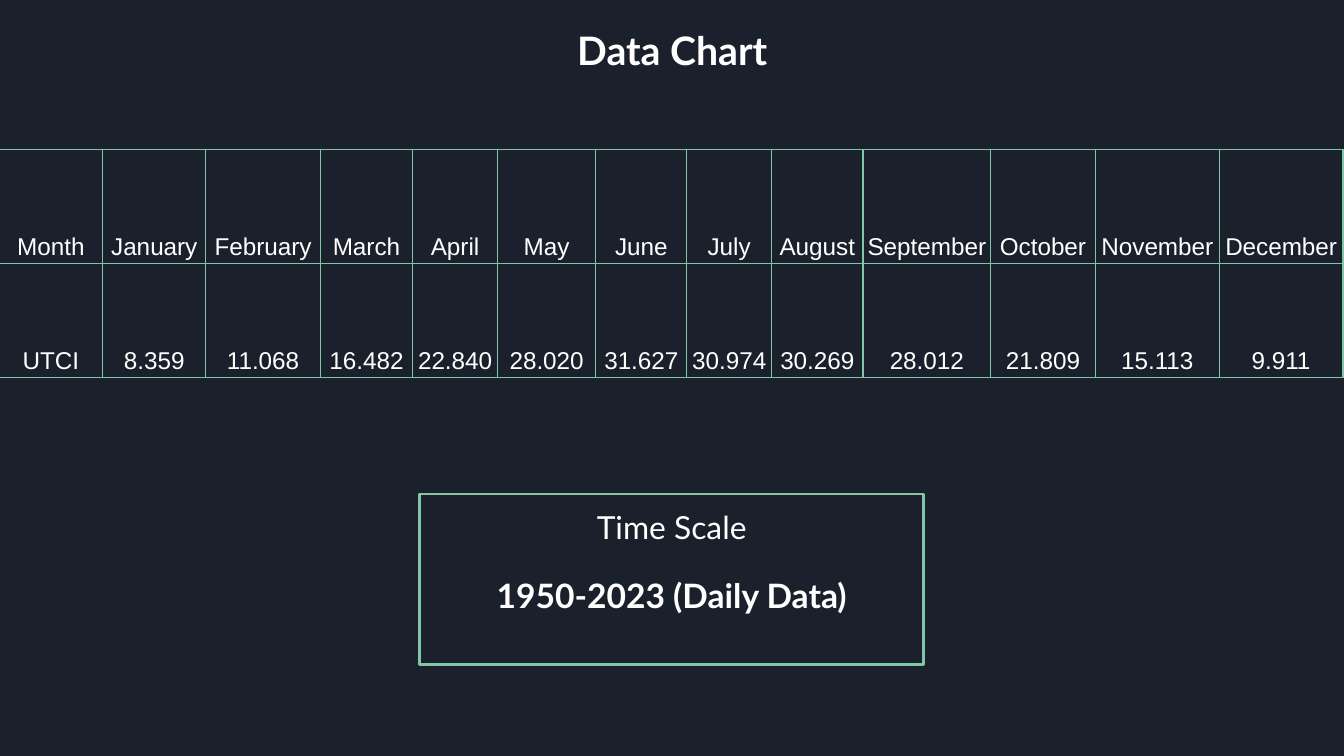
import pptx
import pptx.dml.color
import pptx.enum.shapes
import pptx.enum.text
import pptx.oxml.ns
import pptx.util
from lxml import etree
from pptx.util import Cm, Pt

TITLE = "Data Chart"
# heading, UTCI value, column width in cm
COLUMNS = [
    ("Month", "UTCI", 1.96),
    ("January", "8.359", 1.95),
    ("February", "11.068", 2.16),
    ("March", "16.482", 1.75),
    ("April", "22.840", 1.6),
    ("May", "28.020", 1.86),
    ("June", "31.627", 1.72),
    ("July", "30.974", 1.6),
    ("August", "30.269", 1.73),
    ("September", "28.012", 2.41),
    ("October", "21.809", 1.98),
    ("November", "15.113", 2.34),
    ("December", "9.911", 2.34),
]
TIME_SCALE = [("Time Scale", 17, False), ("1950-2023 (Daily Data)", 18, True)]

BACKGROUND, GREEN, WHITE = "1B212C", "82C7A5", "FFFFFF"
ROW_HEIGHT = 2.16


def color(value):
    return pptx.dml.color.RGBColor.from_string(value)


def format_paragraph(paragraph, font_name, size, bold=False):
    paragraph.alignment = pptx.enum.text.PP_ALIGN.CENTER
    for run in paragraph.runs:
        run.font.name = font_name
        run.font.size = Pt(size)
        run.font.bold = bold
        run.font.color.rgb = color(WHITE)


def set_frame(text_frame):
    """Anchor the text at the top with equal margins on all sides."""
    text_frame.word_wrap = True
    text_frame.auto_size = pptx.enum.text.MSO_AUTO_SIZE.NONE
    text_frame.vertical_anchor = pptx.enum.text.MSO_ANCHOR.TOP
    text_frame.margin_left = text_frame.margin_right = Cm(0.25)
    text_frame.margin_top = text_frame.margin_bottom = Cm(0.25)


def set_borders(cell, value, width):
    properties = cell._tc.get_or_add_tcPr()
    for position, side in enumerate(("lnL", "lnR", "lnT", "lnB")):
        line = etree.Element(pptx.oxml.ns.qn(f"a:{side}"), w=str(Pt(width)))
        fill = etree.SubElement(line, pptx.oxml.ns.qn("a:solidFill"))
        etree.SubElement(fill, pptx.oxml.ns.qn("a:srgbClr"), val=value)
        properties.insert(position, line)


def add_title(slide):
    title = slide.shapes.title
    title.left, title.top, title.width, title.height = Cm(7.37), Cm(0.25), Cm(10.67), Cm(1.47)
    title.text_frame.text = TITLE
    set_frame(title.text_frame)
    format_paragraph(title.text_frame.paragraphs[0], "Lato", 21, True)


def add_month_table(slide):
    widths = [width for _, _, width in COLUMNS]
    table = slide.shapes.add_table(
        2, len(COLUMNS), Cm(-0.02), Cm(2.82), Cm(sum(widths)), Cm(2 * ROW_HEIGHT)
    ).table
    table.first_row = table.horz_banding = False
    for row in table.rows:
        row.height = Cm(ROW_HEIGHT)
    for column_index, (heading, value, width) in enumerate(COLUMNS):
        table.columns[column_index].width = Cm(width)
        for row_index, text in enumerate((heading, value)):
            cell = table.cell(row_index, column_index)
            cell.text_frame.text = text
            cell.vertical_anchor = pptx.enum.text.MSO_ANCHOR.BOTTOM
            cell.margin_left = cell.margin_right = Cm(0.08)
            cell.margin_top = cell.margin_bottom = Cm(0.05)
            cell.fill.background()
            set_borders(cell, GREEN, 0.75)
            paragraph = cell.text_frame.paragraphs[0]
            paragraph.line_spacing = 1.15
            format_paragraph(paragraph, "Arial", 13)


def add_time_scale(slide):
    box = slide.shapes.add_shape(
        pptx.enum.shapes.MSO_SHAPE.RECTANGLE, Cm(7.93), Cm(9.34), Cm(9.53), Cm(3.23)
    )
    box.shadow.inherit = False
    box.fill.background()
    box.line.color.rgb = color(GREEN)
    box.line.width = Pt(1.5)
    set_frame(box.text_frame)
    box.text_frame.text = "\n".join(text for text, _, _ in TIME_SCALE)
    for paragraph, (_, size, bold) in zip(box.text_frame.paragraphs, TIME_SCALE):
        format_paragraph(paragraph, "Lato", size, bold)
    box.text_frame.paragraphs[1].space_before = Pt(15.6)


def main():
    presentation = pptx.Presentation()
    presentation.slide_width, presentation.slide_height = Cm(25.4), Cm(14.29)
    slide = presentation.slides.add_slide(presentation.slide_layouts[5])
    slide.background.fill.solid()
    slide.background.fill.fore_color.rgb = color(BACKGROUND)
    add_month_table(slide)
    add_title(slide)
    add_time_scale(slide)
    presentation.save("out.pptx")


if __name__ == "__main__":
    main()
